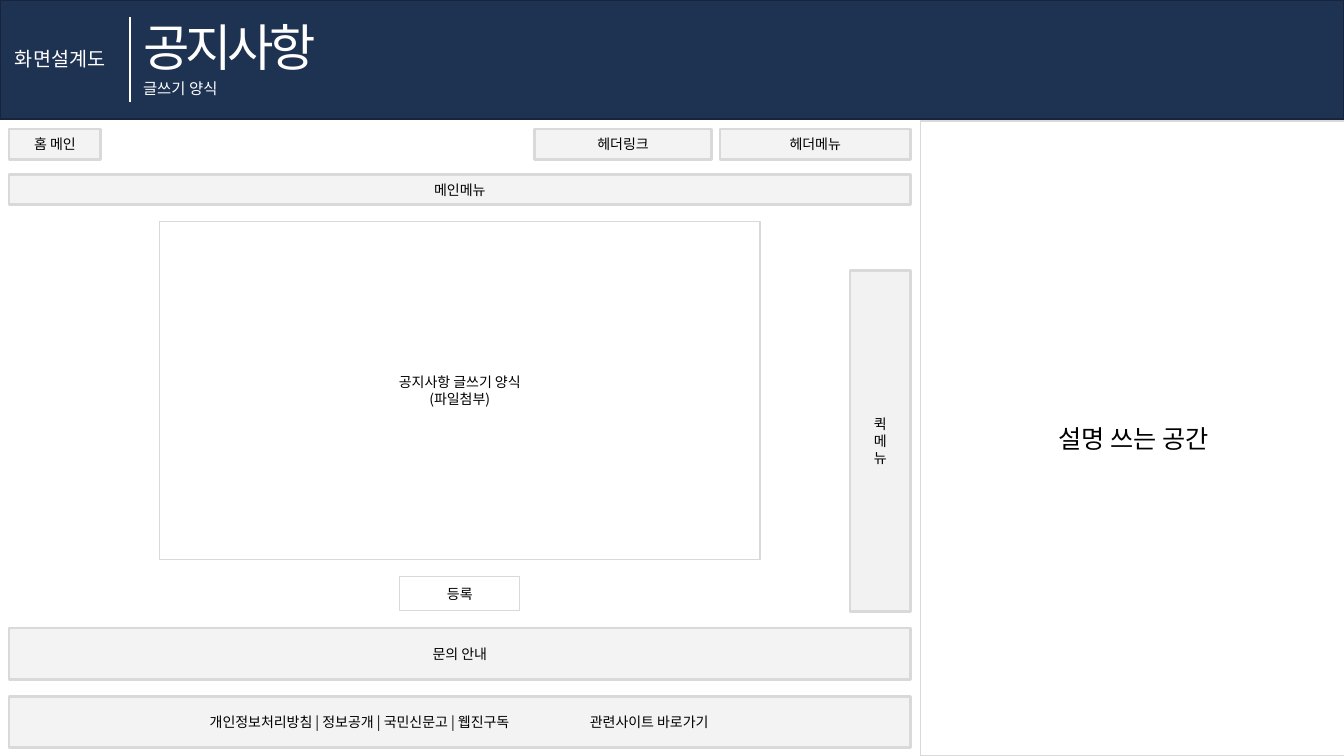
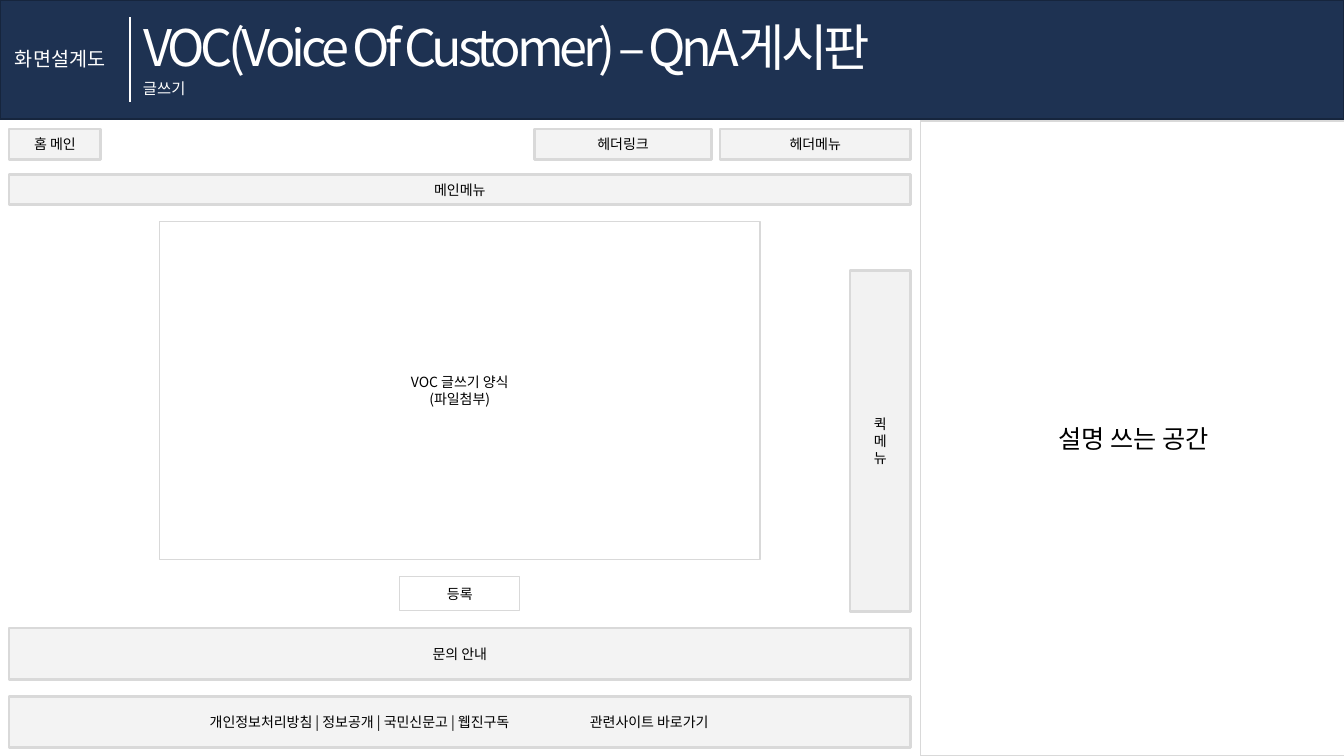
from lxml import etree
from pptx import Presentation
from pptx.dml.color import RGBColor
from pptx.enum import shapes, text
from pptx.oxml.ns import qn
from pptx.util import Inches, Pt

COLORS = {
    "navy": "1E3252", "navy_edge": "16253D", "white": "FFFFFF",
    "black": "000000", "grey": "D9D9D9", "dark_grey": "BFBFBF",
}
KOREAN = "Noto Sans CJK KR"
LATIN = "Arial"
SLIDE_WIDTH, SLIDE_HEIGHT = 13.33, 7.5

# Wireframe area
LEFT, RIGHT = 0.09, 9.03
WIDTH = RIGHT - LEFT
CENTER = (LEFT + RIGHT) / 2
PANEL_LEFT, PANEL_TOP = 9.13, 1.2

FOOTER_LINKS = ["개인정보처리방침", "정보공개", "국민신문고", "웹진구독"]


def rgb(name):
    return RGBColor.from_string(COLORS[name])


class Wireframe:
    """Holds the shared style and the slide being drawn."""

    def __init__(self):
        self.presentation = Presentation()
        self.presentation.slide_width = Inches(SLIDE_WIDTH)
        self.presentation.slide_height = Inches(SLIDE_HEIGHT)
        self.slide = None

    def new_slide(self):
        self.slide = self.presentation.slides.add_slide(self.presentation.slide_layouts[6])

    def add_run(self, paragraph, words, size, color, font=KOREAN, spacing=None):
        run = paragraph.add_run()
        run.text = words
        run.font.size = Pt(size)
        run.font.name = font
        run.font.color.rgb = rgb(color)
        properties = run.font._element
        etree.SubElement(properties, qn("a:ea")).set("typeface", KOREAN)
        if spacing is not None:
            properties.set("spc", str(int(spacing * 100)))

    def box(self, left, top, width, height, lines=(), fill="grey", opacity=None,
            edge="grey", edge_width=1, size=10):
        shape = self.slide.shapes.add_shape(
            shapes.MSO_SHAPE.RECTANGLE,
            Inches(left), Inches(top), Inches(width), Inches(height))
        shape.shadow.inherit = False
        shape.fill.solid()
        shape.fill.fore_color.rgb = rgb(fill)
        if opacity is not None:
            color = shape.fill._xPr.find(".//" + qn("a:srgbClr"))
            etree.SubElement(color, qn("a:alpha")).set("val", str(opacity * 1000))
        shape.line.color.rgb = rgb(edge)
        shape.line.width = Pt(edge_width)
        frame = shape.text_frame
        frame.word_wrap = True
        frame.vertical_anchor = text.MSO_ANCHOR.MIDDLE
        for index, words in enumerate(lines):
            paragraph = frame.add_paragraph() if index else frame.paragraphs[0]
            paragraph.alignment = text.PP_ALIGN.CENTER
            self.add_run(paragraph, words, size, "black")
        return shape

    def region(self, left, top, width, height, lines=(), fill="grey", opacity=30):
        return self.box(left, top, width, height, lines, fill, opacity, edge_width=2)

    def centered(self, top, width, height, lines):
        return self.box(CENTER - width / 2, top, width, height, lines, fill="white")

    def label(self, left, top, width, height, words, size, font=KOREAN, spacing=None):
        shape = self.slide.shapes.add_textbox(
            Inches(left), Inches(top), Inches(width), Inches(height))
        frame = shape.text_frame
        frame.word_wrap = False
        frame.auto_size = text.MSO_AUTO_SIZE.SHAPE_TO_FIT_TEXT
        self.add_run(frame.paragraphs[0], words, size, "white", font, spacing)

    def divider(self, left, top, bottom):
        line = self.slide.shapes.add_connector(
            shapes.MSO_CONNECTOR.STRAIGHT,
            Inches(left), Inches(top), Inches(left), Inches(bottom))
        line.line.color.rgb = rgb("white")
        line.line.width = Pt(1.5)
        etree.SubElement(line._element.spPr, qn("a:effectLst"))

    def header(self, title, title_width, subtitle, subtitle_width):
        self.box(0, 0, SLIDE_WIDTH, 1.18, fill="navy", edge="navy_edge")
        self.label(1.32, 0.11, title_width, 0.71, title, 36, spacing=-3)
        self.label(0.05, 0.42, 1.18, 0.34, "화면설계도", 14)
        self.divider(1.29, 0.17, 1.01)
        self.label(1.32, 0.74, subtitle_width, 0.29, subtitle, 11, font=LATIN)

    def footer(self):
        shape = self.region(LEFT, 6.91, WIDTH, 0.51)
        frame = shape.text_frame
        frame.margin_left = Inches(1.99)
        paragraph = frame.paragraphs[0]
        paragraph.alignment = text.PP_ALIGN.LEFT
        # The tab stop sets the related-sites link apart
        tabs = etree.SubElement(paragraph._p.get_or_add_pPr(), qn("a:tabLst"))
        tab = etree.SubElement(tabs, qn("a:tab"))
        tab.set("pos", str(Inches(3.77)))
        tab.set("algn", "l")
        self.add_run(paragraph, " | ".join(FOOTER_LINKS) + "\t관련사이트 바로가기", 10, "black")

    def page(self, title, title_width, subtitle, subtitle_width, form):
        self.new_slide()
        self.header(title, title_width, subtitle, subtitle_width)

        # Description panel
        self.box(PANEL_LEFT, PANEL_TOP, 4.22, SLIDE_HEIGHT - PANEL_TOP,
                 ["설명 쓰는 공간"], fill="white", size=18)

        # Navigation
        self.region(LEFT, 1.73, WIDTH, 0.3, ["메인메뉴"])
        for left, width, words in [(LEFT, 0.91, "홈 메인"),
                                   (5.3, 1.76, "헤더링크"),
                                   (7.14, 1.89, "헤더메뉴")]:
            self.region(left, 1.28, width, 0.3, [words])

        # Writing form
        self.centered(2.2, 5.96, 3.35, [form, "(파일첨부)"])
        self.centered(5.72, 1.19, 0.34, ["등록"])

        # Quick menu, one syllable a line
        self.region(RIGHT - 0.6, 2.68, 0.6, 3.39, "퀵메뉴", fill="dark_grey", opacity=20)

        # Bottom bands
        self.region(LEFT, 6.23, WIDTH, 0.51, ["문의 안내"])
        self.footer()


def main():
    wireframe = Wireframe()
    wireframe.page("공지사항", 2.05, "글쓰기 양식", 1.05, "공지사항 글쓰기 양식")
    wireframe.page("VOC(Voice Of Customer) – QnA게시판", 7.65, "글쓰기", 0.66,
                   "VOC 글쓰기 양식")
    wireframe.presentation.save("out.pptx")


if __name__ == "__main__":
    main()
